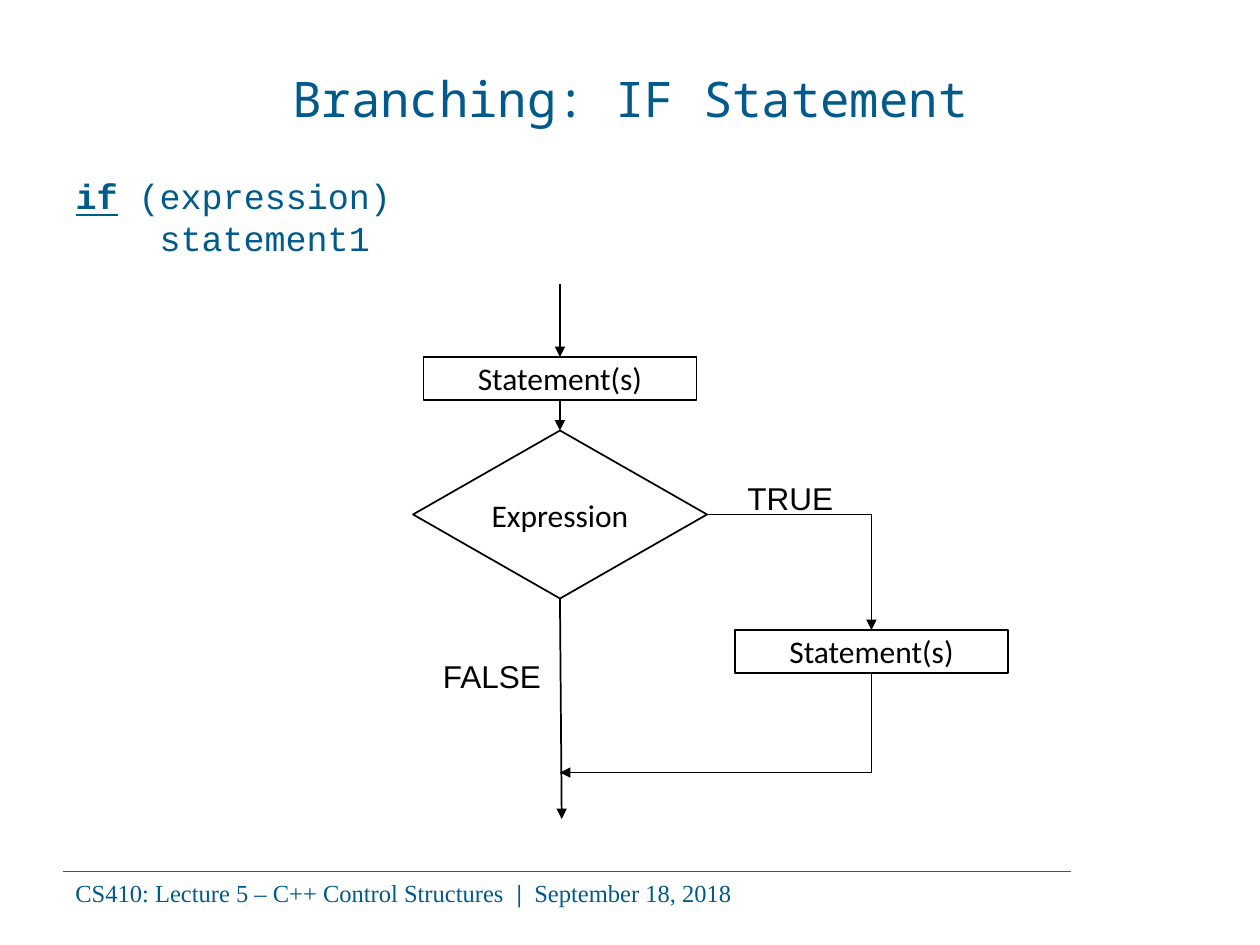
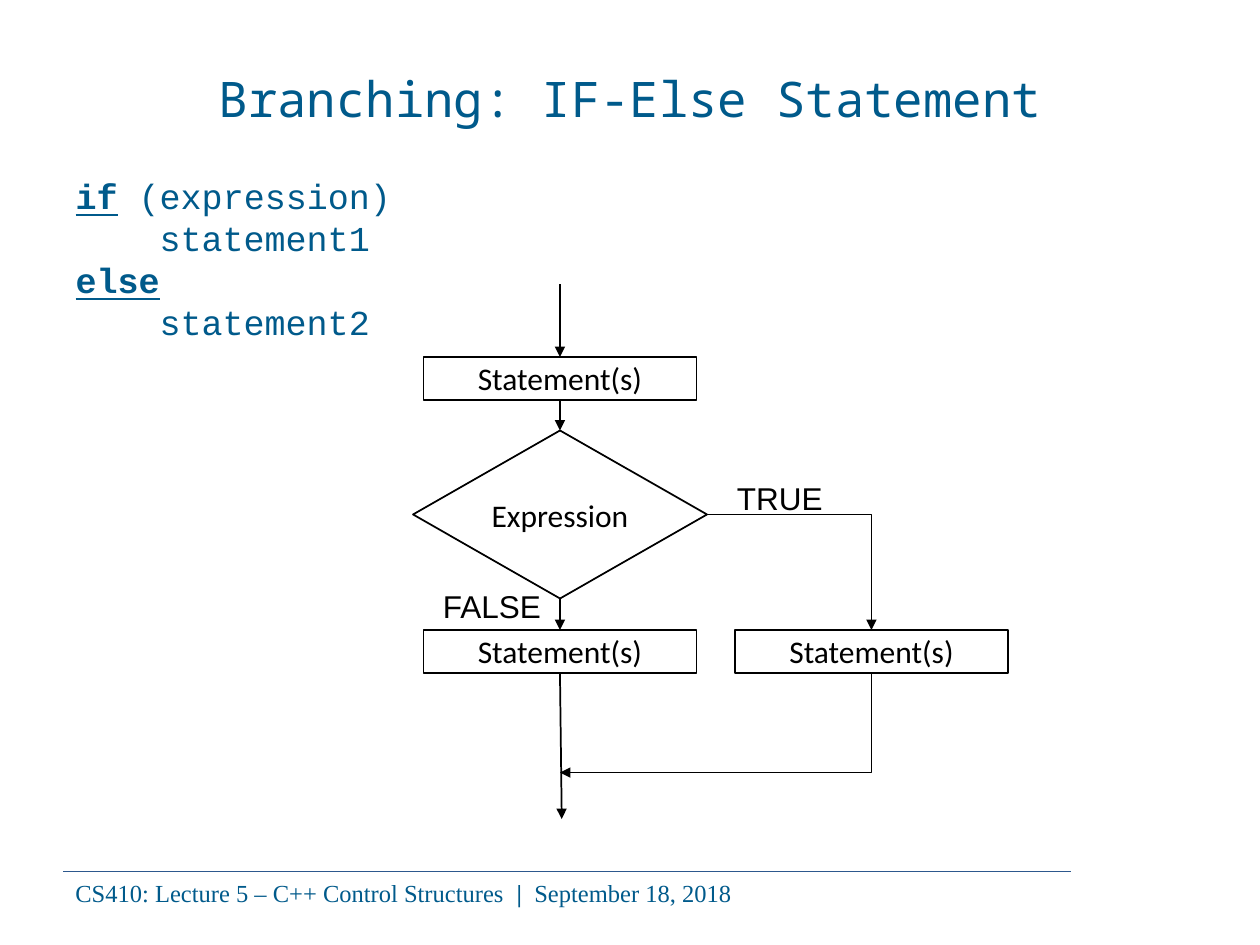
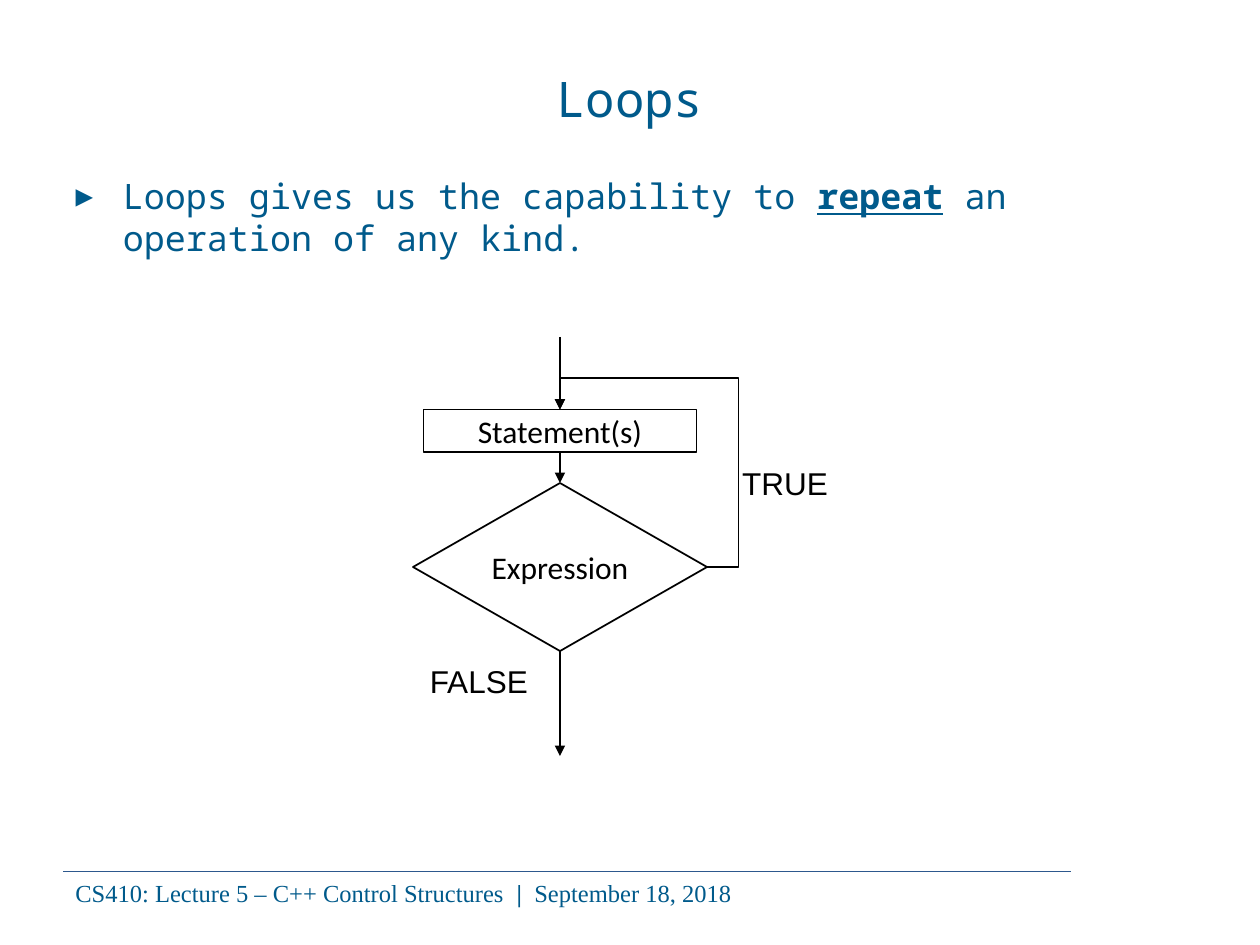
import lxml.etree
import pptx
import pptx.dml.color
import pptx.enum.shapes
import pptx.enum.text
import pptx.oxml.ns
import pptx.util

Pt = pptx.util.Pt
SHAPES = pptx.enum.shapes.MSO_SHAPE
CONNECTORS = pptx.enum.shapes.MSO_CONNECTOR
ALIGN = pptx.enum.text.PP_ALIGN
ANCHOR = pptx.enum.text.MSO_ANCHOR

BLUE, RULE_BLUE, BLACK = "005A8B", "2D588D", "000000"
TITLE_FONT, CODE_FONT = "Noto Sans Mono", "Courier New"
FOOTER_FONT, BOX_FONT, LABEL_FONT = "Times New Roman", "Calibri", "Arial"

AXIS, BRANCH_AXIS = 320, 498
BOX_WIDTH, BOX_HEIGHT = 156, 24.5
DIAMOND_WIDTH, DIAMOND_HEIGHT = 168, 96
DIAMOND_DROP = 42
ENTRY_LENGTH = 41.5
FLOW_TOP, LOOP_TOP = 204, 234
BRANCH_TOP, MERGE_Y, EXIT_Y = 360, 441.5, 468


def paint(color_format, hex_string):
    """Give a colour format the colour of a hex string."""
    color_format.rgb = pptx.dml.color.RGBColor.from_string(hex_string)


def style(paragraph, font_name, size, color):
    """Set the font of a whole paragraph."""
    paragraph.font.name = font_name
    paragraph.font.size = Pt(size)
    paint(paragraph.font.color, color)


def add_child(parent, tag, **attributes):
    """Append a drawing element with the given attributes."""
    child = lxml.etree.SubElement(parent, pptx.oxml.ns.qn(tag))
    for name, value in attributes.items():
        child.set(name, str(value))
    return child


def place(element, left, top, width, height):
    """Move and size an element in points."""
    element.left, element.top = Pt(left), Pt(top)
    element.width, element.height = Pt(width), Pt(height)


def add_runs(paragraph, pieces):
    """Add (text, bold, underline) runs to a paragraph."""
    for text, bold, underline in pieces:
        run = paragraph.add_run()
        run.text = text
        run.font.bold = bold
        run.font.underline = underline


def set_body_paragraph(paragraph, pieces, font_name, margin=0, bullet=None, before=0):
    """Fill one body paragraph, with a hanging bullet if one is given."""
    properties = paragraph._p.get_or_add_pPr()
    properties.set("marL", str(Pt(margin)))
    properties.set("indent", str(Pt(-margin if bullet else 0)))
    if bullet:
        bullet_color = add_child(properties, "a:buClr")
        add_child(bullet_color, "a:srgbClr", val=BLUE)
        add_child(properties, "a:buChar", char=bullet)
    else:
        add_child(properties, "a:buNone")
    paragraph.space_before = Pt(before)
    paragraph.line_spacing = Pt(24)
    style(paragraph, font_name, 20, BLUE)
    add_runs(paragraph, pieces)


def get_body(slide, height):
    """Place the body placeholder and return its text frame."""
    body = slide.placeholders[1]
    place(body, 36, 96, 618, height)
    body.text_frame.auto_size = pptx.enum.text.MSO_AUTO_SIZE.NONE
    return body.text_frame


def add_code(slide, lines, height):
    """Write code lines given as (indent, pieces) in the body."""
    frame = get_body(slide, height)
    for index, (indent, pieces) in enumerate(lines):
        paragraph = frame.add_paragraph() if index else frame.paragraphs[0]
        set_body_paragraph(paragraph, pieces, CODE_FONT, indent, before=0 if index else 3)


def style_line(connector, color, width):
    """Draw a connector plainly, without a shadow."""
    paint(connector.line.color, color)
    connector.line.width = Pt(width)
    add_child(connector._element.spPr, "a:effectLst")


def add_arrow(slide, start, end, kind=CONNECTORS.STRAIGHT):
    """Add a black connector that ends in a triangle."""
    arrow = slide.shapes.add_connector(kind, *map(Pt, start + end))
    style_line(arrow, BLACK, 1)
    add_child(arrow.line._get_or_add_ln(), "a:tailEnd", type="triangle")
    return arrow


def add_bent_arrow(slide, start, end, preset, turned=False, adjustments=()):
    """Add an elbow arrow that leaves sideways, or downwards if turned."""
    if turned:
        center_x, center_y = (start[0] + end[0]) / 2, (start[1] + end[1]) / 2
        half_x, half_y = abs(end[1] - start[1]) / 2, abs(end[0] - start[0]) / 2
        start = (center_x - half_x, center_y - half_y)
        end = (center_x + half_x, center_y + half_y)
    arrow = add_arrow(slide, start, end, CONNECTORS.ELBOW)
    properties = arrow._element.spPr
    if turned:
        properties.find(pptx.oxml.ns.qn("a:xfrm")).set("rot", "5400000")
    geometry = properties.find(pptx.oxml.ns.qn("a:prstGeom"))
    geometry.set("prst", preset)
    for child in list(geometry):
        geometry.remove(child)
    guides = add_child(geometry, "a:avLst")
    for number, value in enumerate(adjustments, 1):
        add_child(guides, "a:gd", name=f"adj{number}", fmla=f"val {value}")


def add_node(slide, preset, text, axis, top, width, height):
    """Add an outlined flowchart node centred on an axis."""
    node = slide.shapes.add_shape(
        preset, Pt(axis - width / 2), Pt(top), Pt(width), Pt(height))
    node.shadow.inherit = False
    node.fill.background()
    paint(node.line.color, BLACK)
    node.line.width = Pt(1)
    frame = node.text_frame
    frame.margin_left = frame.margin_right = 0
    frame.vertical_anchor = ANCHOR.MIDDLE
    paragraph = frame.paragraphs[0]
    paragraph.alignment = ALIGN.CENTER
    style(paragraph, BOX_FONT, 18, BLACK)
    paragraph.add_run().text = text


def add_statement(slide, axis, top):
    """Add a statement box."""
    add_node(slide, SHAPES.RECTANGLE, "Statement(s)", axis, top, BOX_WIDTH, BOX_HEIGHT)


def add_text(slide, pieces, left, top, width, height, font_name, size, color):
    """Add a one-paragraph text box."""
    box = slide.shapes.add_textbox(Pt(left), Pt(top), Pt(width), Pt(height))
    box.text_frame.word_wrap = True
    paragraph = box.text_frame.paragraphs[0]
    style(paragraph, font_name, size, color)
    add_runs(paragraph, pieces)


def add_label(slide, text, left, top):
    """Label a branch of the flowchart."""
    add_text(slide, [(text, None, None)], left, top, 76, 29, LABEL_FONT, 18, BLACK)


def add_test(slide, top):
    """Draw entry, statement and decision; return the decision's middle and bottom."""
    decision_top = top + DIAMOND_DROP
    add_statement(slide, AXIS, top)
    add_node(slide, SHAPES.DIAMOND, "Expression", AXIS, decision_top,
             DIAMOND_WIDTH, DIAMOND_HEIGHT)
    add_arrow(slide, (AXIS, top - ENTRY_LENGTH), (AXIS, top))
    add_arrow(slide, (AXIS, top + BOX_HEIGHT), (AXIS, decision_top))
    return decision_top + DIAMOND_HEIGHT / 2, decision_top + DIAMOND_HEIGHT


def add_branch(slide):
    """Draw a test whose true branch rejoins the axis; return the decision's bottom."""
    middle, bottom = add_test(slide, FLOW_TOP)
    add_statement(slide, BRANCH_AXIS, BRANCH_TOP)
    add_bent_arrow(slide, (AXIS + DIAMOND_WIDTH / 2, middle),
                   (BRANCH_AXIS, BRANCH_TOP), "bentConnector2")
    add_bent_arrow(slide, (BRANCH_AXIS, BRANCH_TOP + BOX_HEIGHT),
                   (AXIS, MERGE_Y), "bentConnector2", turned=True)
    return bottom


def add_slide(deck, title_text):
    """Add a slide with its title, footer rule and footer."""
    slide = deck.slides.add_slide(deck.slide_layouts[1])
    rule = slide.shapes.add_connector(CONNECTORS.STRAIGHT, Pt(36), Pt(498), Pt(612), Pt(498))
    style_line(rule, RULE_BLUE, 0.5)
    footer = [("CS410: Lecture 5 – C++ Control Structures  ", None, None),
              ("|  ", True, None), ("September 18, 2018", None, None)]
    add_text(slide, footer, 36, 498, 588, 24.5, FOOTER_FONT, 14, BLUE)
    title = slide.shapes.title
    place(title, 36, 21.5, 648, 68.5)
    title.text_frame.vertical_anchor = ANCHOR.MIDDLE
    heading = title.text_frame.paragraphs[0]
    heading.alignment = ALIGN.CENTER
    style(heading, TITLE_FONT, 28, BLUE)
    heading.add_run().text = title_text
    return slide


def build_if(deck, if_lines):
    """Build the slide on the if statement."""
    slide = add_slide(deck, "Branching: IF Statement")
    add_code(slide, if_lines, 60)
    bottom = add_branch(slide)
    add_arrow(slide, (AXIS, bottom), (AXIS + 1, EXIT_Y))
    add_label(slide, "TRUE", 420, 270)
    add_label(slide, "FALSE", 246, 372)


def build_if_else(deck, if_lines):
    """Build the slide on the if-else statement."""
    slide = add_slide(deck, "Branching: IF-Else Statement")
    else_lines = [(0, [("else", True, True)]), (48, [("statement2", None, None)])]
    add_code(slide, if_lines + else_lines, 120)
    bottom = add_branch(slide)
    add_statement(slide, AXIS, BRANCH_TOP)
    add_arrow(slide, (AXIS, bottom), (AXIS, BRANCH_TOP))
    add_arrow(slide, (AXIS, BRANCH_TOP + BOX_HEIGHT), (AXIS + 1, EXIT_Y))
    add_label(slide, "TRUE", 414, 270)
    add_label(slide, "FALSE", 246, 332)


def build_loops(deck):
    """Build the slide on loops."""
    slide = add_slide(deck, "Loops")
    pieces = [("Loops gives us the capability to ", None, None),
              ("repeat", True, True), (" an operation of any kind.", None, None)]
    set_body_paragraph(get_body(slide, 72).paragraphs[0], pieces, TITLE_FONT,
                       margin=27, bullet="▸", before=3)
    middle, bottom = add_test(slide, LOOP_TOP)
    add_bent_arrow(slide, (AXIS + DIAMOND_WIDTH / 2, middle), (AXIS, LOOP_TOP),
                   "bentConnector4", adjustments=(-21500, 120000))
    add_arrow(slide, (AXIS, bottom), (AXIS, 432))
    add_label(slide, "TRUE", 417, 261.5)
    add_label(slide, "FALSE", 238.5, 374.5)


def main():
    """Build and save the deck."""
    deck = pptx.Presentation()
    deck.slide_width, deck.slide_height = Pt(720), Pt(540)
    if_lines = [(0, [("if", True, True), (" (expression)", None, None)]),
                (48, [("statement1", None, None)])]
    build_if(deck, if_lines)
    build_if_else(deck, if_lines)
    build_loops(deck)
    deck.save("out.pptx")


if __name__ == "__main__":
    main()
